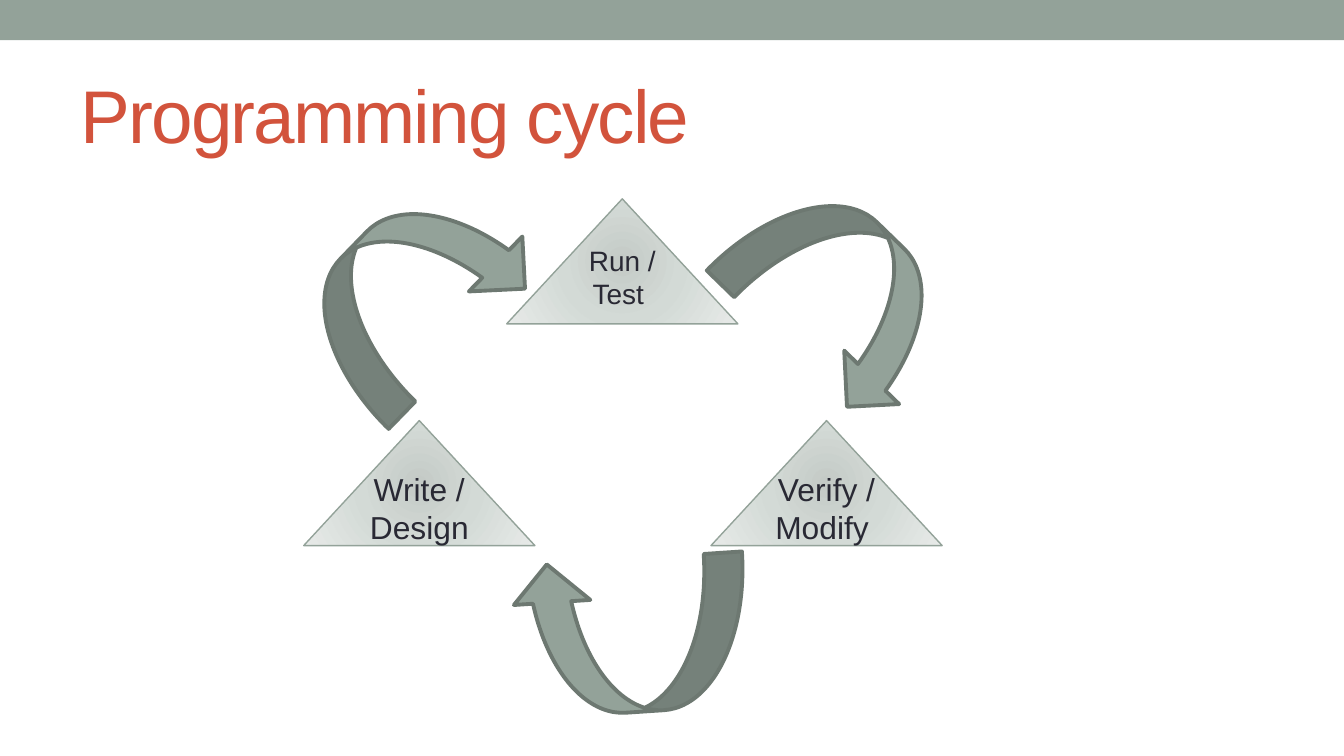
from dataclasses import dataclass

from lxml.etree import SubElement
from pptx import Presentation
from pptx.dml.color import RGBColor
from pptx.enum.shapes import MSO_SHAPE as Preset
from pptx.enum.text import MSO_ANCHOR as Anchor, PP_ALIGN as Align
from pptx.oxml.ns import qn
from pptx.util import Inches, Pt


@dataclass(frozen=True)
class Theme:
    font: str = "Arial"
    title: str = "D2533C"
    text: str = "292934"
    accent: str = "93A299"
    outline: str = "6D7871"
    glow: tuple = ((0, "C4CAC6"), (45, "D3DAD6"), (100, "E7EAE8"))
    title_size: int = 40
    step_size: int = 17
    small_size: int = 15


def write_text(frame, text, *, font, size, color, align=Align.LEFT,
               anchor=Anchor.MIDDLE, margins=(0.1, 0.05, 0.1, 0.05), tracking=0):
    frame.word_wrap = True
    frame.vertical_anchor = anchor
    (frame.margin_left, frame.margin_top,
     frame.margin_right, frame.margin_bottom) = map(Inches, margins)
    frame.text = text
    for paragraph in frame.paragraphs:
        paragraph.alignment = align
        for run in paragraph.runs:
            run.font.name = font
            run.font.size = Pt(size)
            run.font.color.rgb = RGBColor.from_string(color)
            if tracking:
                run.font._element.set("spc", str(tracking * 100))


class SlideBuilder:
    """Draws the elements of one slide in a shared theme."""

    def __init__(self, slide, theme):
        self.slide = slide
        self.theme = theme

    def shape(self, preset, left, top, width, height, line=None, weight=0.75):
        shape = self.slide.shapes.add_shape(
            preset, Inches(left), Inches(top), Inches(width), Inches(height))
        shape.shadow.inherit = False
        shape.fill.solid()
        shape.fill.fore_color.rgb = RGBColor.from_string(self.theme.accent)
        if line:
            shape.line.color.rgb = RGBColor.from_string(line)
            shape.line.width = Pt(weight)
        else:
            shape.line.fill.background()
        return shape

    def title(self, text, left, top, width, height):
        title = self.slide.shapes.title
        title.left, title.top = Inches(left), Inches(top)
        title.width, title.height = Inches(width), Inches(height)
        write_text(title.text_frame, text, font=self.theme.font,
                   size=self.theme.title_size, color=self.theme.title, tracking=-1)

    def radial_fill(self, shape):
        shape.fill.gradient()
        gradient = shape._element.spPr.find(qn("a:gradFill"))
        for child in list(gradient):
            gradient.remove(child)
        stops = SubElement(gradient, qn("a:gsLst"))
        for position, color in self.theme.glow:
            stop = SubElement(stops, qn("a:gs"), pos=str(position * 1000))
            SubElement(stop, qn("a:srgbClr"), val=color)
        circle = SubElement(gradient, qn("a:path"), path="circle")
        SubElement(circle, qn("a:fillToRect"), dict.fromkeys("ltrb", "100000"))

    def step(self, text, left, top, size, margins):
        triangle = self.shape(Preset.ISOSCELES_TRIANGLE, left, top, 1.72, 0.93,
                              line=self.theme.accent)
        self.radial_fill(triangle)
        write_text(triangle.text_frame, text, font=self.theme.font, size=size,
                   color=self.theme.text, align=Align.CENTER, anchor=Anchor.BOTTOM,
                   margins=margins)

    def cycle_arrow(self, left, top, rotation):
        arrow = self.shape(Preset.CURVED_RIGHT_ARROW, left, top, 1.14, 1.74,
                           line=self.theme.outline, weight=2.08)
        arrow.rotation = rotation
        arrow._element.spPr.find(qn("a:xfrm")).set("flipV", "1")


presentation = Presentation()
presentation.slide_width = Inches(10)
presentation.slide_height = presentation.slide_width * 9 // 16
slide = presentation.slides.add_slide(presentation.slide_layouts[5])
theme = Theme()
builder = SlideBuilder(slide, theme)

builder.shape(Preset.RECTANGLE, 0, 0, 10, 0.3)
builder.title("Programming cycle", 0.5, 0.44, 9, 0.81)

builder.step("Run /\nTest ", 3.77, 1.48, theme.small_size, (0, 0, 0, 0.1))
for label, left in (("Write / Design", 2.26), ("Verify / Modify ", 5.29)):
    builder.step(label, left, 3.13, theme.step_size, (0, 0.1, 0, 0))

for left, top, rotation in ((2.52, 1.3, 44.2), (5.71, 1.34, 134.2), (4.12, 3.86, 266.2)):
    builder.cycle_arrow(left, top, rotation)

presentation.save("out.pptx")
